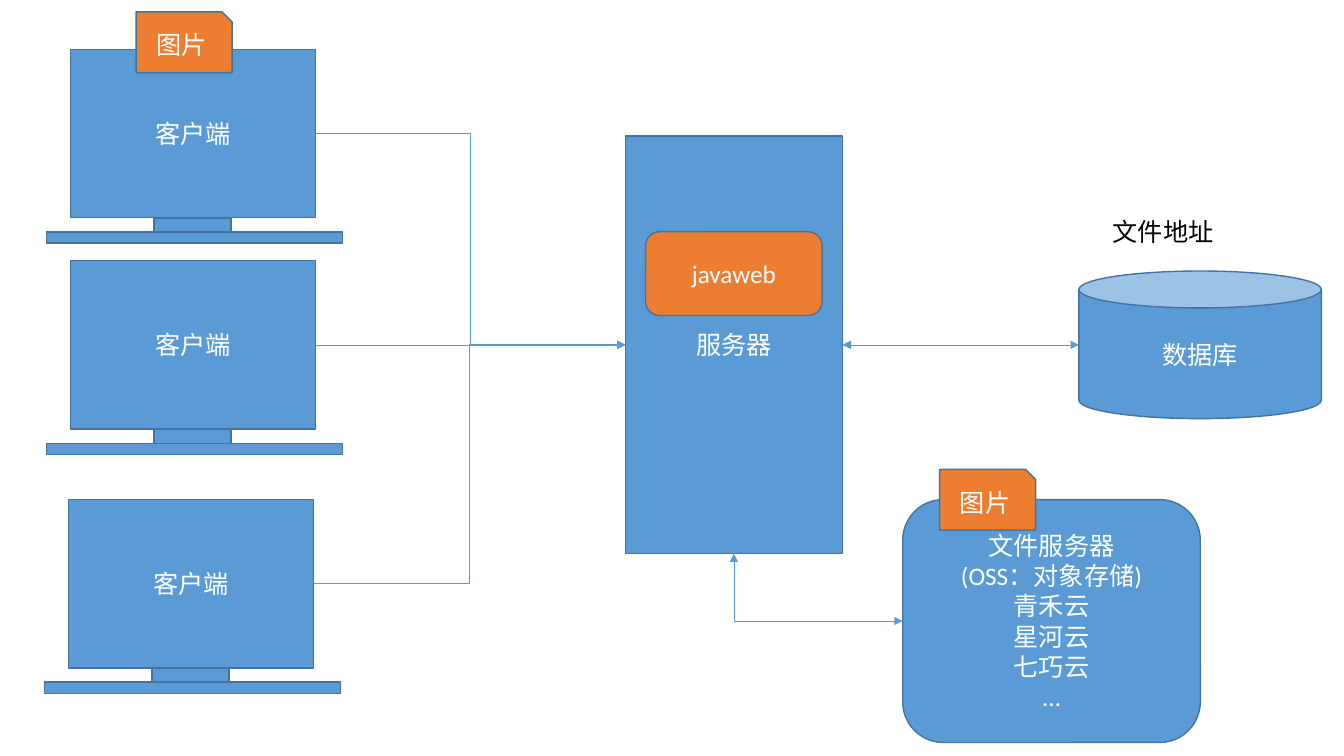
"""Build a slide of clients, a web server, a database and a file server."""
from lxml import etree
from pptx import Presentation
from pptx.dml import color
from pptx.enum import shapes, text
from pptx.oxml import ns
from pptx.util import Cm, Pt

BLUE, ORANGE, OUTLINE, WHITE, BLACK = "5B9BD5", "ED7D31", "43739E", "FFFFFF", "000000"
KIND = shapes.MSO_SHAPE
TOP, LEFT, BOTTOM, RIGHT = range(4)
CAN_LEFT = 2

CLIENTS = {"client 1": (1.78, 1.25), "client 2": (1.78, 6.57), "client 3": (1.73, 12.59)}
MONITOR = [
    ("客户端", (0, 0, 6.18, 4.24)),
    ("", (2.1, 4.24, 1.94, 0.36)),
    ("", (-0.61, 4.6, 7.46, 0.28)),
]
FILE_SERVER = "文件服务器\v(OSS：对象存储)\n青禾云\n星河云\n七巧云\n…"
NODES = {
    "file server": (KIND.ROUNDED_RECTANGLE, (22.75, 12.59, 7.5, 6.12), BLUE, FILE_SERVER),
    "database": (KIND.CAN, (27.19, 6.83, 6.11, 3.72), BLUE, "数据库"),
    "server": (KIND.RECTANGLE, (15.76, 3.43, 5.47, 10.52), BLUE, "服务器"),
    "web app": (KIND.ROUNDED_RECTANGLE, (16.27, 5.84, 4.45, 2.11), ORANGE, "javaweb"),
    "client file": (KIND.SNIP_1_RECTANGLE, (3.43, 0.3, 2.42, 1.53), ORANGE, "图片"),
    "stored file": (KIND.SNIP_1_RECTANGLE, (23.68, 11.83, 2.42, 1.53), ORANGE, "图片"),
}
ADDRESS = ("文件地址", (27.79, 5.33, 3.07, 1.02))
ELBOW, STRAIGHT = shapes.MSO_CONNECTOR.ELBOW, shapes.MSO_CONNECTOR.STRAIGHT
LINKS = [
    (ELBOW, "client 1", RIGHT, "server", LEFT, ["tailEnd"]),
    (STRAIGHT, "client 2", RIGHT, "server", LEFT, ["tailEnd"]),
    (ELBOW, "client 3", RIGHT, "server", LEFT, ["tailEnd"]),
    (STRAIGHT, "server", RIGHT, "database", LEFT, ["headEnd", "tailEnd"]),
    (ELBOW, "file server", LEFT, "server", BOTTOM, ["headEnd", "tailEnd"]),
]


def rgb(value):
    """Turn a hex string into a colour."""
    return color.RGBColor.from_string(value)


def write(shape, words, ink, align, **frame_format):
    """Put formatted words into a shape."""
    frame = shape.text_frame
    frame.text = words
    for name, value in frame_format.items():
        setattr(frame, name, value)
    for para in frame.paragraphs:
        para.alignment = align
        for span in para.runs:
            for name, value in {"size": Pt(18), "name": "Calibri"}.items():
                setattr(span.font, name, value)
            span.font.color.rgb = rgb(ink)


def add_node(parent, kind, place, fill, words):
    """Add one filled, outlined shape with centred words."""
    shape = parent.add_shape(kind, *map(Cm, place))
    shape.shadow.inherit = False
    shape.fill.solid()
    shape.fill.fore_color.rgb = rgb(fill)
    shape.line.color.rgb = rgb(OUTLINE)
    shape.line.width = Pt(1)
    if words:
        write(shape, words, WHITE, text.PP_ALIGN.CENTER,
              vertical_anchor=text.MSO_ANCHOR.MIDDLE, word_wrap=True)
    return shape


def add_client(page, left, top):
    """Add a grouped monitor and return its screen."""
    group = page.shapes.add_group_shape()
    parts = [
        add_node(group.shapes, KIND.RECTANGLE, (left + x, top + y, width, height), BLUE, words)
        for words, (x, y, width, height) in MONITOR
    ]
    return parts[0]


def add_link(page, kind, start, start_site, end, end_site, arrows):
    """Join two shapes with a thin arrow."""
    link = page.shapes.add_connector(kind, 0, 0, 0, 0)
    link.begin_connect(start, start_site)
    link.end_connect(end, end_site)
    link.line.color.rgb = rgb(BLUE)
    link.line.width = Pt(0.5)
    line = link.line._get_or_add_ln()
    for arrow in arrows:
        etree.SubElement(line, ns.qn(f"a:{arrow}"), type="triangle")
    properties = link._element.spPr
    etree.SubElement(properties, ns.qn("a:effectLst"))
    if end_site == BOTTOM:
        properties.find(ns.qn("a:prstGeom")).set("prst", "bentConnector2")
    if end.auto_shape_type == KIND.CAN:
        link._element.find(f".//{ns.qn('a:endCxn')}").set("idx", str(CAN_LEFT))


deck = Presentation()
deck.slide_width, deck.slide_height = Cm(33.87), Cm(19.05)
page = deck.slides.add_slide(deck.slide_layouts[6])

drawn = {name: add_client(page, *corner) for name, corner in CLIENTS.items()}
for name, node in NODES.items():
    drawn[name] = add_node(page.shapes, *node)
for kind, start, start_site, end, end_site, arrows in LINKS:
    add_link(page, kind, drawn[start], start_site, drawn[end], end_site, arrows)

words, place = ADDRESS
box = page.shapes.add_textbox(*map(Cm, place))
write(box, words, BLACK, text.PP_ALIGN.LEFT, word_wrap=False)

deck.save("out.pptx")
